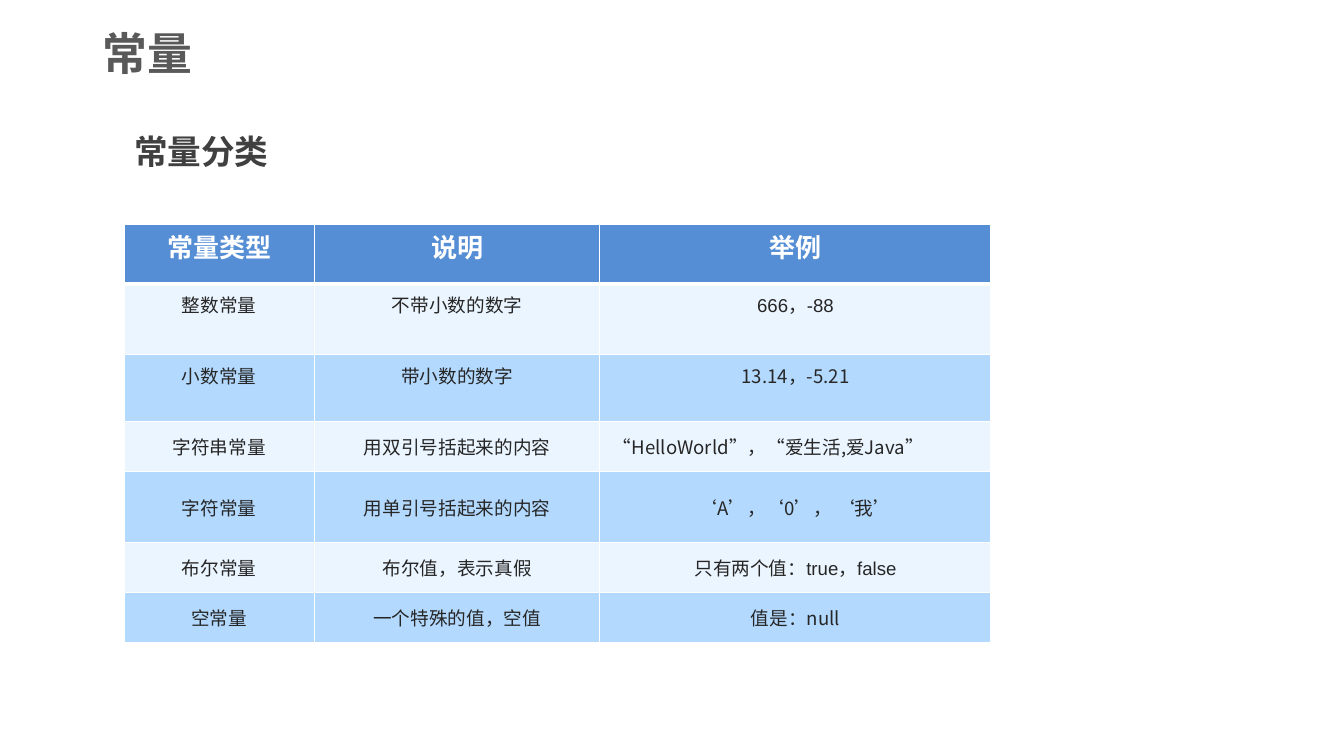
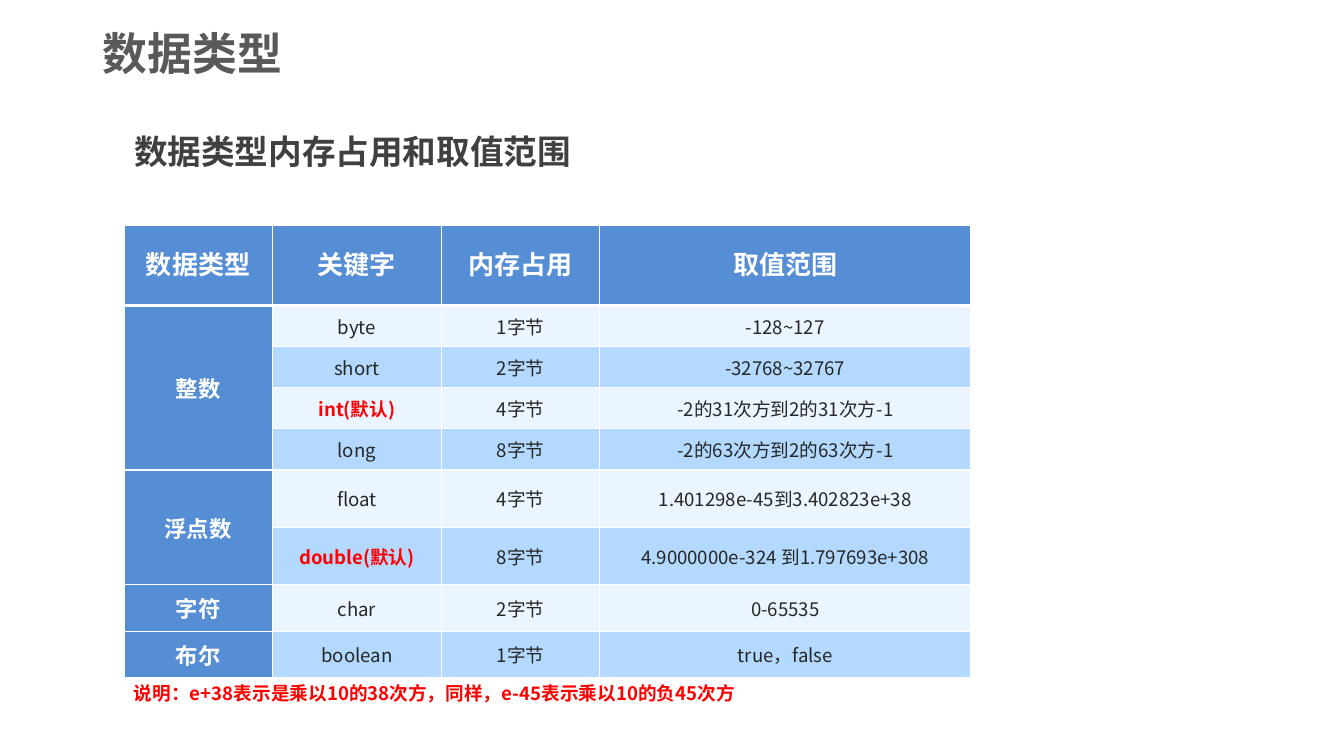
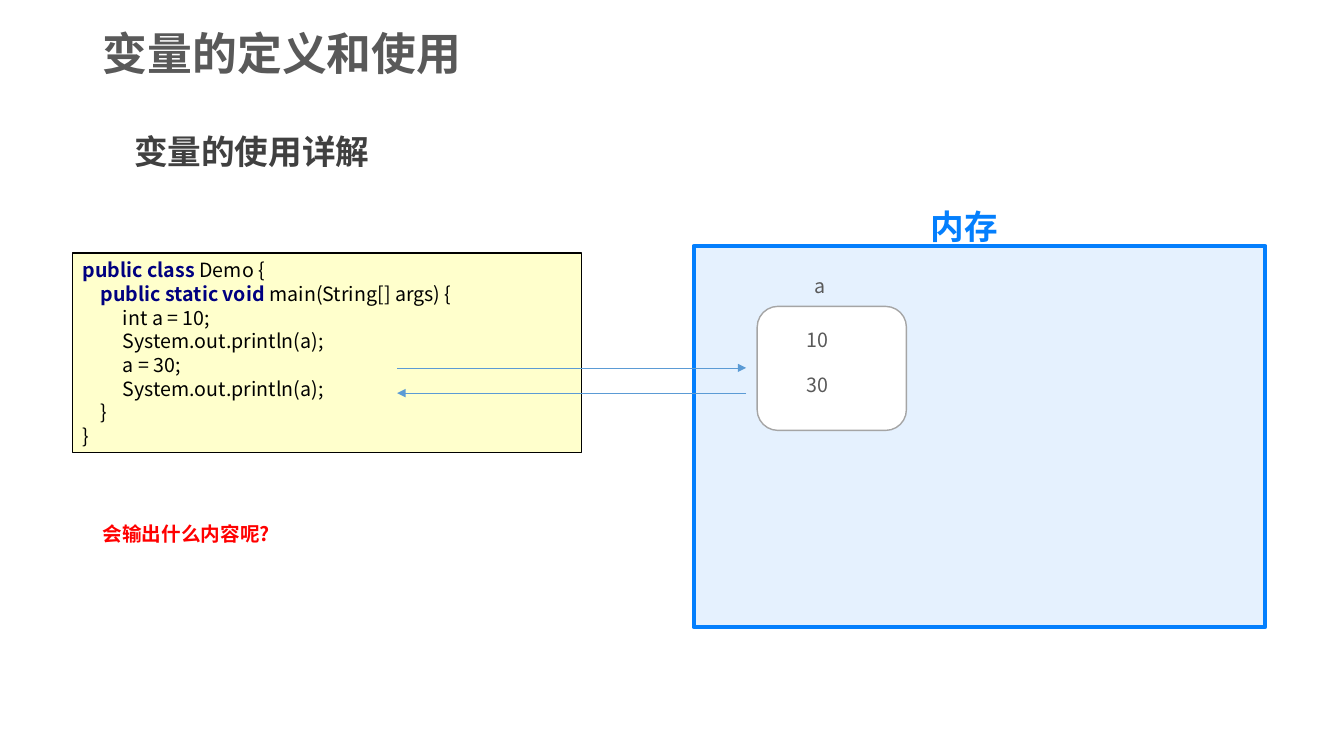
from lxml.etree import SubElement
from pptx import Presentation
from pptx.dml.color import RGBColor
from pptx.enum.shapes import MSO_CONNECTOR, MSO_SHAPE
from pptx.enum.text import MSO_ANCHOR as Anchor, MSO_AUTO_SIZE as AutoSize, PP_ALIGN as Align
from pptx.oxml.ns import qn
from pptx.util import Inches, Pt

FONT = "Noto Sans CJK SC"
COLORS = {
    "title": "595959", "subtitle": "404040", "text": "262626", "white": "FFFFFF",
    "header": "558ED5", "odd": "EBF5FF", "even": "B3D9FF", "red": "FF0000",
    "note": "FD0000", "memory": "047FFD", "code": "FFFFCC", "black": "000000",
    "keyword": "000080", "arrow": "5B9BD5", "outline": "A5A5A5",
}

# Content
CONSTANTS = [
    ("常量类型", "说明", "举例"),
    ("整数常量", "不带小数的数字", "666，-88"),
    ("小数常量", "带小数的数字", "13.14，-5.21"),
    ("字符串常量", "用双引号括起来的内容", "“HelloWorld”，“爱生活,爱Java”"),
    ("字符常量", "用单引号括起来的内容", "‘A’，‘0’， ‘我’"),
    ("布尔常量", "布尔值，表示真假", "只有两个值：true，false"),
    ("空常量", "一个特殊的值，空值", "值是：null"),
]
# None continues the cell above
TYPES = [
    ("数据类型", "关键字", "内存占用", "取值范围"),
    ("整数", "byte", "1字节", "-128~127"),
    (None, "short", "2字节", "-32768~32767"),
    (None, "int(默认)", "4字节", "-2的31次方到2的31次方-1"),
    (None, "long", "8字节", "-2的63次方到2的63次方-1"),
    ("浮点数", "float", "4字节", "1.401298e-45到3.402823e+38"),
    (None, "double(默认)", "8字节", "4.9000000e-324 到1.797693e+308"),
    ("字符", "char", "2字节", "0-65535"),
    ("布尔", "boolean", "1字节", "true，false"),
]
TYPES_NOTE = "说明：e+38表示是乘以10的38次方，同样，e-45表示乘以10的负45次方"
# Indent in inches, keywords, remaining code
CODE = [
    (0, "public class ", "Demo {"),
    (0.18, "public static void ", "main(String[] args) {"),
    (0.4, "", "int a = 10;"),
    (0.4, "", "System.out.println(a);"),
    (0.4, "", "a = 30;"),
    (0.4, "", "System.out.println(a);"),
    (0.18, "", "}"),
    (0, "", "}"),
]


def rgb(name):
    return RGBColor.from_string(COLORS[name])


def add_span(para, text, size, color, bold=False, latin=FONT):
    span = para.add_run()
    span.text = text
    span.font.size, span.font.bold, span.font.name = Pt(size), bold, latin
    span.font.color.rgb = rgb(color)
    SubElement(span.font._element, qn("a:ea")).set("typeface", FONT)


def indent(para, left):
    props = para._p.get_or_add_pPr()
    props.set("marL", str(Inches(left)))
    props.set("indent", "0")
    return props


def place(shape, left, top, width, height):
    shape.left, shape.top = Inches(left), Inches(top)
    shape.width, shape.height = Inches(width), Inches(height)


def add_text(page, text, left, top, width, height, size, color, bold=False):
    box = page.shapes.add_textbox(*map(Inches, (left, top, width, height)))
    box.text_frame.word_wrap = True
    para = box.text_frame.paragraphs[0]
    add_span(para, text, size, color, bold)
    return para


def add_shape(page, kind, area, fill, line, width):
    shape = page.shapes.add_shape(kind, *map(Inches, area))
    shape.shadow.inherit = False
    shape.fill.solid()
    shape.fill.fore_color.rgb = rgb(fill)
    shape.line.color.rgb = rgb(line)
    shape.line.width = Pt(width)
    return shape


def add_arrow(page, start, end, y):
    arrow = page.shapes.add_connector(
        MSO_CONNECTOR.STRAIGHT, *map(Inches, (start, y, end, y)))
    arrow.line.color.rgb = rgb("arrow")
    arrow.line.width = Pt(0.5)
    SubElement(arrow.line._get_or_add_ln(), qn("a:tailEnd")).set("type", "triangle")
    SubElement(arrow._element.spPr, qn("a:effectLst"))


def add_page(deck, title, subtitle):
    """Page with the shared title and subtitle."""
    page = deck.slides.add_slide(deck.slide_layouts[1])
    heading, body = page.shapes.title, page.placeholders[1]
    place(heading, 0.92, -0.03, 7.85, 1.18)
    place(body, 1.23, 1.05, 5.97, 0.71)
    for holder, text, size, color, spacing, anchor in (
            (heading, title, 32, "title", 0.9, Anchor.MIDDLE),
            (body, subtitle, 24, "subtitle", 1.5, Anchor.TOP)):
        frame = holder.text_frame
        frame.auto_size, frame.vertical_anchor = AutoSize.NONE, anchor
        para = frame.paragraphs[0]
        para.alignment, para.line_spacing = Align.LEFT, spacing
        para.space_before = Pt(0)
        SubElement(indent(para, 0), qn("a:buNone"))
        add_span(para, text, size, color, bold=True)
    return page


def set_borders(cell, row):
    props = cell._tc.get_or_add_tcPr()
    heavy = {(0, "B"), (1, "T")}
    for side in "LRTB":
        line = SubElement(props, qn(f"a:ln{side}"))
        line.set("w", str(Pt(3 if (row, side) in heavy else 1)))
        fill = SubElement(line, qn("a:solidFill"))
        SubElement(fill, qn("a:srgbClr")).set("val", COLORS["white"])


def add_grid(page, rows, top, widths, heights, row_heads=False,
             top_rows=(), left_cells=(), arial_cells=()):
    """Table with a blue header row, banded rows and optional row heads."""
    area = map(Inches, (1.23, top, sum(widths), sum(heights)))
    table = page.shapes.add_table(len(rows), len(widths), *area).table
    table.first_row = table.horz_banding = False
    for column, width in zip(table.columns, widths):
        column.width = Inches(width)
    for line, height in zip(table.rows, heights):
        line.height = Inches(height)
    for r, row in enumerate(rows):
        for c, text in enumerate(row):
            cell = table.cell(r, c)
            side_head = row_heads and c == 0
            head = r == 0 or side_head
            set_borders(cell, r)
            cell.fill.solid()
            cell.fill.fore_color.rgb = rgb("header" if head else "odd" if r % 2 else "even")
            cell.margin_left = cell.margin_right = Inches(0.13)
            cell.margin_top = cell.margin_bottom = Inches(0.07)
            cell.vertical_anchor = Anchor.TOP if r in top_rows else Anchor.MIDDLE
            if text is None:
                continue
            para = cell.text_frame.paragraphs[0]
            para.alignment = Align.LEFT if (r, c) in left_cells else Align.CENTER
            if r == 0:
                para.line_spacing = Pt(24)
            default = "(默认)" in text
            size = 18.6 if r == 0 else 16 if side_head else 13.3
            color = "white" if head else "red" if default else "text"
            latin = "Arial" if (r, c) in arial_cells else FONT
            add_span(para, text, size, color, head or default, latin)
    # Join each row head with the empty cells below it
    first = 0
    for r in range(1, len(rows) + 1):
        if r == len(rows) or rows[r][0] is not None:
            if r - first > 1:
                table.cell(first, 0).merge(table.cell(r - 1, 0))
            first = r


def constants_page(deck):
    page = add_page(deck, "常量", "常量分类")
    add_grid(page, CONSTANTS, 2.23, [1.89, 2.83, 3.88],
             [0.59, 0.7, 0.66, 0.5, 0.7, 0.5, 0.5],
             top_rows=(0, 1, 2), left_cells=[(3, 2)], arial_cells=[(1, 2), (5, 2)])


def types_page(deck):
    page = add_page(deck, "数据类型", "数据类型内存占用和取值范围")
    add_grid(page, TYPES, 2.24, [1.47, 1.68, 1.57, 3.68],
             [0.79] + [0.4] * 4 + [0.57] * 2 + [0.45] * 2, row_heads=True)
    add_text(page, TYPES_NOTE, 1.23, 6.72, 7.35, 0.33, 13.3, "note", bold=True)


def variables_page(deck):
    page = add_page(deck, "变量的定义和使用", "变量的使用详解")

    # Memory area
    memory = add_shape(page, MSO_SHAPE.RECTANGLE, (6.88, 2.44, 5.67, 3.78),
                       "memory", "memory", 3)
    tint = memory._element.spPr.find(qn("a:solidFill"))[0]
    SubElement(tint, qn("a:alpha")).set("val", "10000")
    label = add_text(page, "内存", 8.03, 1.79, 3.07, 0.71, 24, "memory", bold=True)
    label.alignment, label.line_spacing = Align.CENTER, 1.5

    # Code listing
    listing = add_shape(page, MSO_SHAPE.RECTANGLE, (0.72, 2.51, 5.05, 1.98),
                        "code", "black", 1)
    frame = listing.text_frame
    frame.word_wrap = True
    for number, (left, keywords, rest) in enumerate(CODE):
        para = frame.add_paragraph() if number else frame.paragraphs[0]
        para.alignment, para.line_spacing = Align.LEFT, Pt(16.9)
        indent(para, left)
        if keywords:
            add_span(para, keywords, 14, "keyword", bold=True)
        add_span(para, rest, 14, "black")

    # Variable and its values
    add_shape(page, MSO_SHAPE.ROUNDED_RECTANGLE, (7.51, 3.04, 1.48, 1.23),
              "white", "outline", 1)
    for text, left, top, width in (("a", 7.98, 2.67, 2.41), ("10", 7.9, 3.2, 4.65),
                                   ("30", 7.9, 3.65, 4.65)):
        add_text(page, text, left, top, width, 0.34, 14, "title")
    add_text(page, "会输出什么内容呢?", 0.92, 5.13, 6.06, 0.34, 14, "red", bold=True)

    # Write and read arrows
    add_arrow(page, 3.94, 7.4, 3.65)
    add_arrow(page, 7.4, 3.94, 3.9)


def main():
    deck = Presentation()
    deck.slide_width, deck.slide_height = Inches(13.33), Inches(7.5)
    constants_page(deck)
    types_page(deck)
    variables_page(deck)
    deck.save("out.pptx")


if __name__ == "__main__":
    main()
